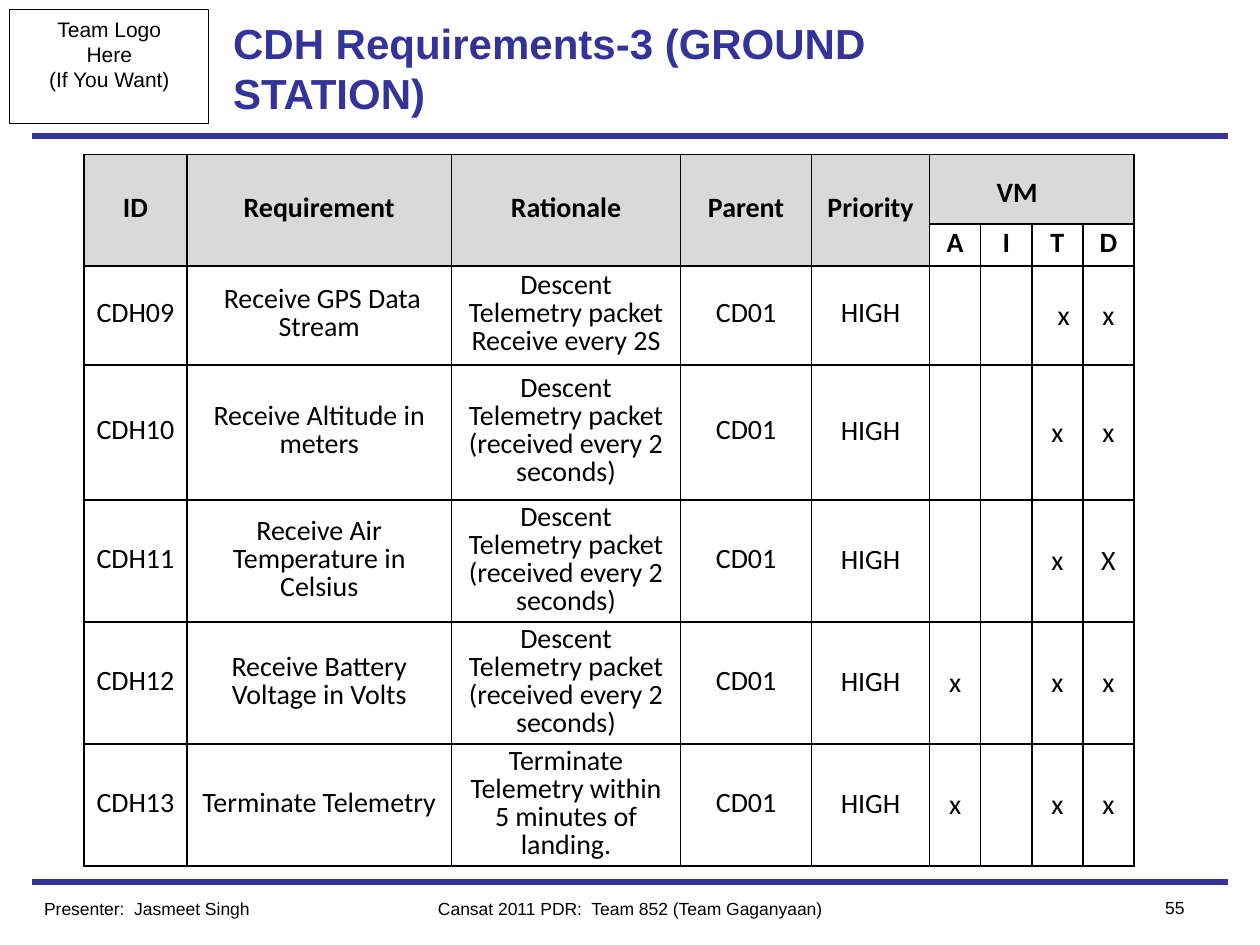
"""Build the ground station requirements slide."""
from lxml import etree
from pptx import Presentation
from pptx.dml.color import RGBColor
from pptx.enum.shapes import MSO_CONNECTOR, MSO_SHAPE
from pptx.enum.text import MSO_ANCHOR, PP_ALIGN
from pptx.oxml.ns import qn
from pptx.util import Cm, Pt

LEFT, CENTER, RIGHT = PP_ALIGN.LEFT, PP_ALIGN.CENTER, PP_ALIGN.RIGHT
TOP, MIDDLE = MSO_ANCHOR.TOP, MSO_ANCHOR.MIDDLE
RECTANGLE, STRAIGHT = MSO_SHAPE.RECTANGLE, MSO_CONNECTOR.STRAIGHT
BLUE, BLACK, GREY = "333399", "000000", "D9D9D9"


def color(value):
    return RGBColor.from_string(value)


def write(frame, text, size, name, value, alignment, bold=False):
    frame.text = text
    for paragraph in frame.paragraphs:
        paragraph.alignment = alignment
        paragraph.font.size = Pt(size)
        paragraph.font.name = name
        paragraph.font.bold = bold
        paragraph.font.color.rgb = color(value)


presentation = Presentation()
presentation.slide_width, presentation.slide_height = Cm(25.4), Cm(19.05)
slide = presentation.slides.add_slide(presentation.slide_layouts[6])

for height in (17.78, 2.74):
    rule = slide.shapes.add_connector(
        STRAIGHT, Cm(0.64), Cm(height), Cm(24.76), Cm(height))
    rule.line.color.rgb = color(BLUE)
    rule.line.width = Pt(3)
    etree.SubElement(rule._element.spPr, qn("a:effectLst"))

logo_box = slide.shapes.add_shape(RECTANGLE, Cm(0.2), Cm(0.2), Cm(4.01), Cm(2.29))
logo_box.shadow.inherit = False
logo_box.fill.background()
logo_box.line.color.rgb = color(BLACK)
logo_box.line.width = Pt(0.5)
logo_box.text_frame.word_wrap = False
logo_box.text_frame.vertical_anchor = TOP
write(logo_box.text_frame, "Team Logo\nHere\n(If You Want)", 12, "Arial", BLACK, CENTER)

labels = [
    ("CDH Requirements-3 (GROUND STATION)",
     4.45, 0.2, 16.51, 2.34, 24, BLUE, LEFT, MIDDLE, True),
    ("Presenter:  Jasmeet Singh",
     0.64, 17.98, 6.35, 0.69, 10, BLACK, LEFT, TOP, False),
    ("Cansat 2011 PDR:  Team 852 (Team Gaganyaan)",
     7.62, 17.98, 10.16, 0.69, 10, BLACK, CENTER, TOP, False),
    ("55", 22.23, 17.95, 1.9, 0.69, 10, BLACK, RIGHT, TOP, False),
]
for text, left, top, width, height, size, value, alignment, anchor, bold in labels:
    box = slide.shapes.add_textbox(Cm(left), Cm(top), Cm(width), Cm(height))
    box.text_frame.word_wrap = True
    box.text_frame.vertical_anchor = anchor
    write(box.text_frame, text, size, "Arial", value, alignment, bold)

packet = "Descent Telemetry packet (received every 2 seconds)"
rows = [
    ("ID", "Requirement", "Rationale", "Parent", "Priority", "VM", "", "", ""),
    ("", "", "", "", "", "A", "I", "T", "D"),
    ("CDH09", " Receive GPS Data Stream", "Descent Telemetry packet Receive every 2S",
     "CD01", "HIGH", "", "", "x", "x"),
    ("CDH10", "Receive Altitude in meters", packet, "CD01", "HIGH", "", "", "x", "x"),
    ("CDH11", "Receive Air Temperature in Celsius", packet,
     "CD01", "HIGH", "", "", "x", "X"),
    ("CDH12", "Receive Battery Voltage in Volts", packet,
     "CD01", "HIGH", "x", "", "x", "x"),
    ("CDH13", "Terminate Telemetry", "Terminate Telemetry within 5 minutes of landing.",
     "CD01", "HIGH", "x", "", "x", "x"),
]
column_widths = [2.08, 5.33, 4.62, 2.64, 2.38] + [1.03] * 4
row_heights = [1.41, 0.84, 2, 2.72] + [2.46] * 3

table = slide.shapes.add_table(
    len(rows), len(column_widths), Cm(1.69), Cm(3.11),
    Cm(sum(column_widths)), Cm(sum(row_heights))).table
table.first_row = table.horz_banding = False
for column, width in zip(table.columns, column_widths):
    column.width = Cm(width)
for row, height in zip(table.rows, row_heights):
    row.height = Cm(height)
for column_index in range(5):
    table.cell(0, column_index).merge(table.cell(1, column_index))
table.cell(0, 5).merge(table.cell(0, 8))

for row_index, row in enumerate(rows):
    for column_index, text in enumerate(row):
        cell = table.cell(row_index, column_index)
        is_mark = row_index > 1 and column_index > 4
        cell.vertical_anchor = MIDDLE
        cell.margin_left = cell.margin_right = Cm(0.25)
        cell.margin_top = Cm(0.13 if is_mark else 0.08)
        cell.margin_bottom = Cm(0.13)
        if text:
            write(cell.text_frame, text, 16, "Calibri", BLACK, CENTER, row_index < 2)
            if not is_mark:
                high_value = column_index == 4 and row_index > 2
                cell.text_frame.paragraphs[0].line_spacing = 0.93 if high_value else 0.82
        properties = cell._tc.get_or_add_tcPr()
        for side in ("lnL", "lnR", "lnT", "lnB"):
            border = etree.SubElement(properties, qn(f"a:{side}"), w=str(Pt(1)))
            fill = etree.SubElement(border, qn("a:solidFill"))
            etree.SubElement(fill, qn("a:srgbClr"), val=BLACK)
        if row_index == 0 or (row_index == 1 and column_index < 5):
            cell.fill.solid()
            cell.fill.fore_color.rgb = color(GREY)
        else:
            cell.fill.background()

method_heading = table.cell(0, 5)
method_heading.margin_left, method_heading.margin_top = Cm(1.35), Cm(0.33)
method_heading.text_frame.paragraphs[0].alignment = LEFT
table.cell(2, 7).margin_right = Cm(0)

presentation.save("out.pptx")
